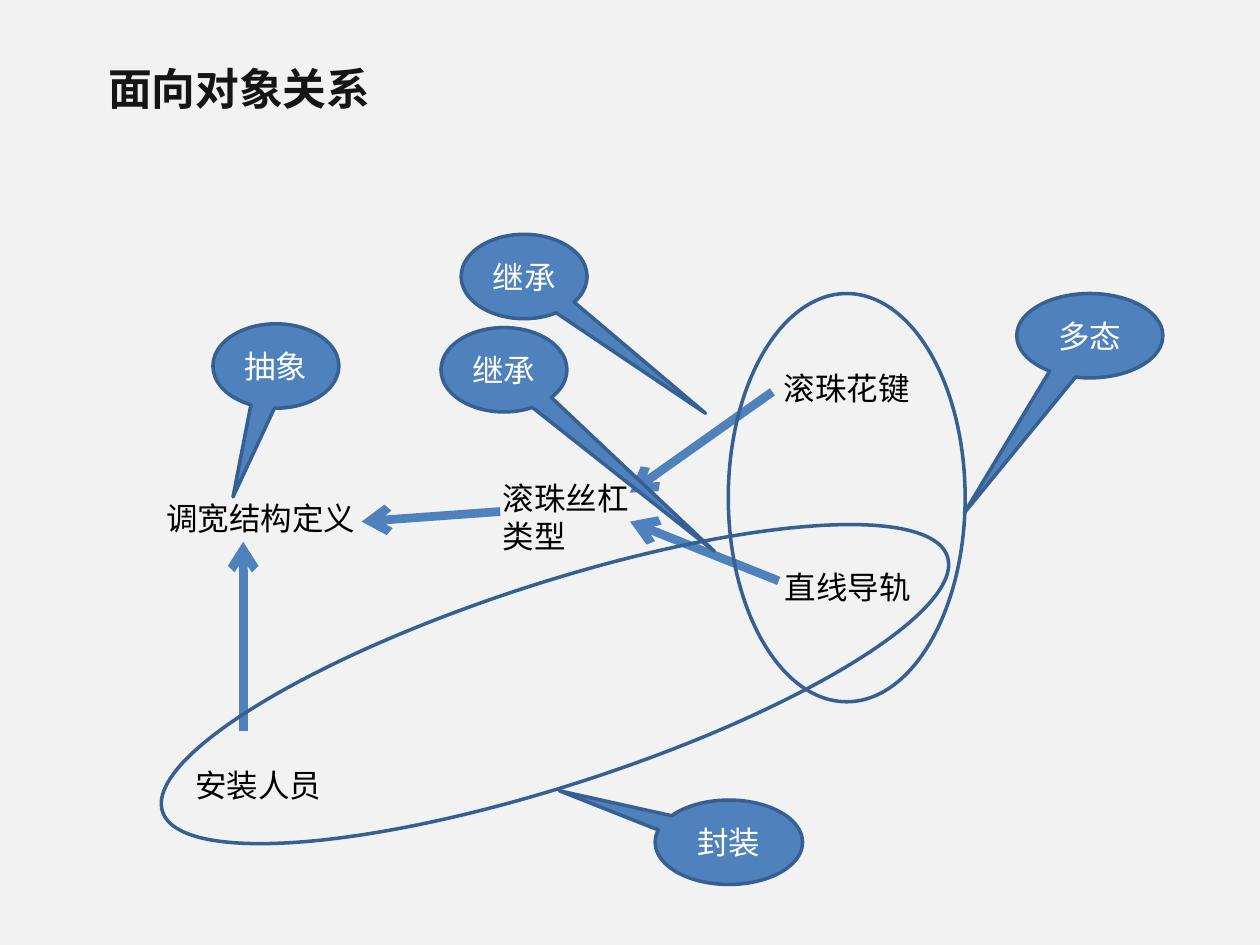
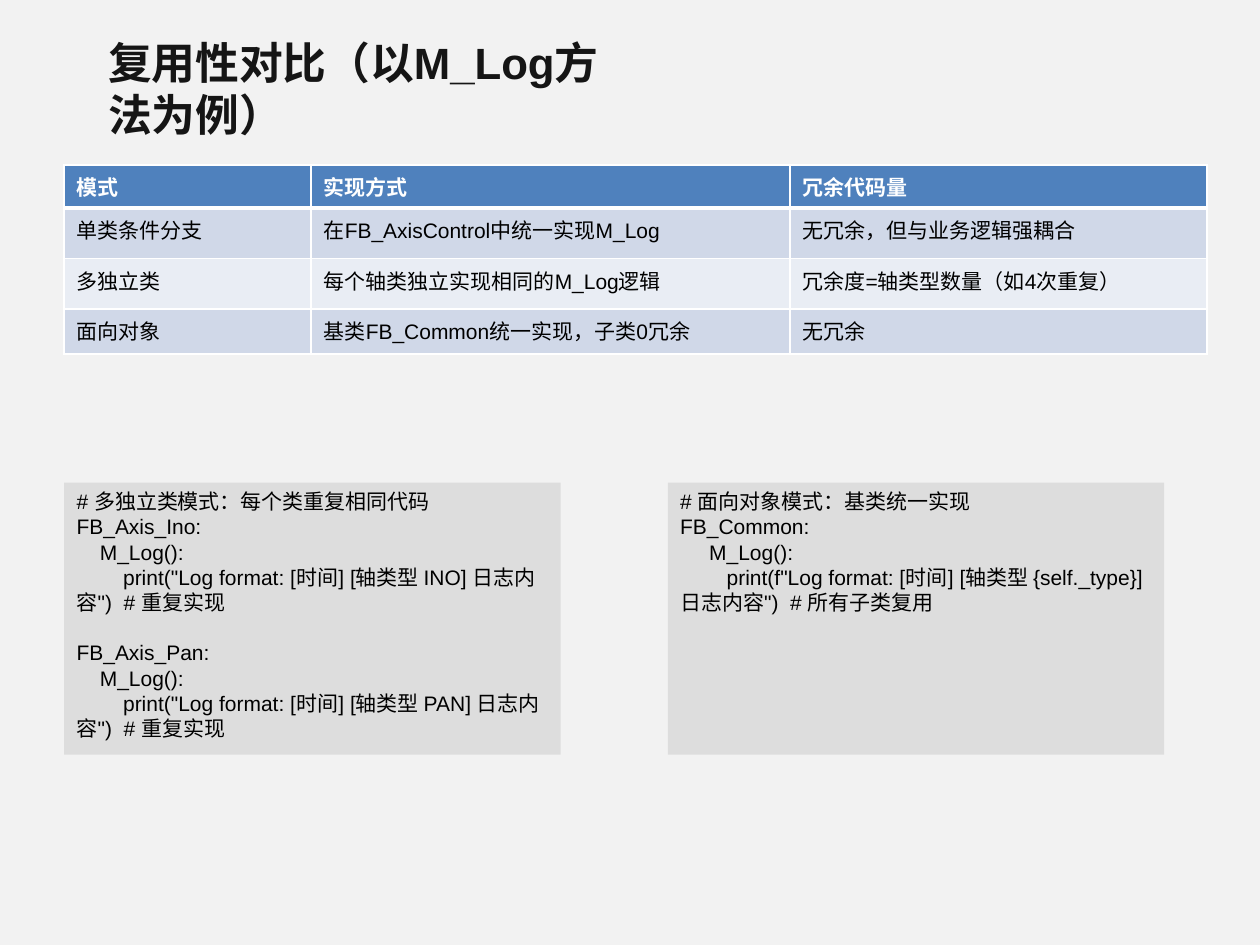
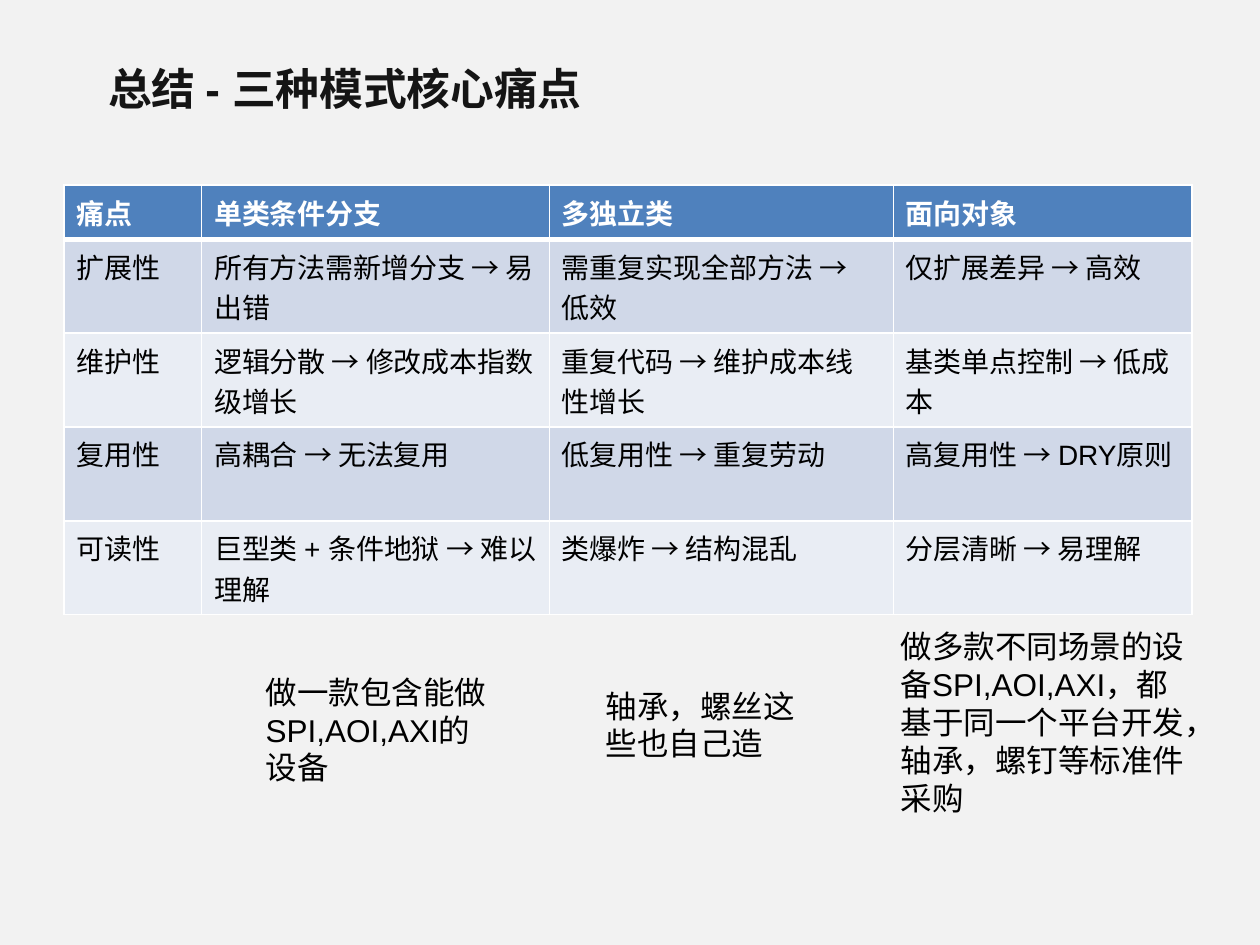
from lxml import etree
from pptx import Presentation
from pptx import util as u
from pptx.dml.color import RGBColor
from pptx.enum import shapes, text
from pptx.oxml import ns

COLUMNS, ROWS = 100, 75
BLUE, DARK_BLUE, WHITE, BLACK = "4F81BD", "376092", "FFFFFF", "000000"
PAPER, TITLE_INK, CODE_GREY = "F2F2F2", "151515", "DDDDDD"
BANDS = ("D0D8E8", "E9EDF4")
LABEL_SIZE = 18


def color(value):
    return RGBColor.from_string(value)


def element(parent, tag, **attributes):
    return etree.SubElement(parent, ns.qn(tag), attributes)


def write(frame, content, size=LABEL_SIZE, ink=BLACK, bold=False, font="Arial",
          align=text.PP_ALIGN.LEFT, anchor=text.MSO_ANCHOR.TOP, leading=1.2):
    """Put each line of content in a paragraph; a blank line becomes space before."""
    frame.word_wrap = True
    frame.vertical_anchor = anchor
    line_height = u.Pt(size * leading)
    gap = 0
    paragraph = None
    for line in content.split("\n"):
        if not line:
            gap += line_height
            continue
        paragraph = frame.add_paragraph() if paragraph else frame.paragraphs[0]
        paragraph.alignment = align
        paragraph.line_spacing = line_height
        paragraph.space_before = gap
        run = paragraph.add_run()
        run.text = line
        run.font.size, run.font.bold, run.font.name = u.Pt(size), bold, font
        run.font.color.rgb = color(ink)
        gap = 0


class Deck:
    """Holds the presentation and the slide being built, on a 100 by 75 grid."""

    def __init__(self):
        self.show = Presentation()
        self.show.slide_width, self.show.slide_height = u.Inches(10), u.Inches(7.5)
        self.slide = None

    def x(self, columns):
        return round(self.show.slide_width * columns / COLUMNS)

    def y(self, rows):
        return round(self.show.slide_height * rows / ROWS)

    def box(self, left, top, width, height):
        return self.x(left), self.y(top), self.x(width), self.y(height)

    def new_slide(self, title):
        self.slide = self.show.slides.add_slide(self.show.slide_layouts[6])
        fill = self.slide.background.fill
        fill.solid()
        fill.fore_color.rgb = color(PAPER)
        self.label(title, 7.6, 3.7, 40.9, 6.6, size=25, ink=TITLE_INK, bold=True,
                   anchor=text.MSO_ANCHOR.MIDDLE)

    def label(self, content, left, top, width, height, **style):
        area = self.slide.shapes.add_textbox(*self.box(left, top, width, height))
        write(area.text_frame, content, **style)

    def shape(self, kind, place, fill=None, outline=None):
        figure = self.slide.shapes.add_shape(kind, *self.box(*place))
        figure.shadow.inherit = False
        if fill:
            figure.fill.solid()
            figure.fill.fore_color.rgb = color(fill)
        else:
            figure.fill.background()
        if outline:
            figure.line.color.rgb = color(outline)
            figure.line.width = u.Pt(2)
        else:
            figure.line.fill.background()
        return figure

    def ring(self, *place, rotation=0):
        self.shape(shapes.MSO_SHAPE.OVAL, place, outline=DARK_BLUE).rotation = rotation

    def callout(self, content, left, top, width, pointer):
        bubble = self.shape(shapes.MSO_SHAPE.OVAL_CALLOUT, (left, top, width, 6.7),
                            BLUE, DARK_BLUE)
        for index, share in enumerate(pointer):
            bubble.adjustments[index] = share
        write(bubble.text_frame, content, ink=WHITE, font="DejaVu Sans",
              align=text.PP_ALIGN.CENTER, anchor=text.MSO_ANCHOR.MIDDLE)

    def code(self, content, left):
        panel = self.shape(shapes.MSO_SHAPE.RECTANGLE, (left, 38.3, 39.4, 21.6), CODE_GREY)
        write(panel.text_frame, content, size=12)

    def arrow(self, start, end):
        link = self.slide.shapes.add_connector(
            shapes.MSO_CONNECTOR.STRAIGHT, self.x(start[0]), self.y(start[1]),
            self.x(end[0]), self.y(end[1]))
        link.line.color.rgb = color(BLUE)
        link.line.width = u.Pt(5)
        element(link.line._get_or_add_ln(), "a:tailEnd", type="arrow")
        element(link._element.spPr, "a:effectLst")

    def table(self, records, top, widths, heights, size):
        grid = self.slide.shapes.add_table(
            len(heights), len(widths),
            *self.box(5.1, top, sum(widths), sum(heights))).table
        for column, width in zip(grid.columns, widths):
            column.width = self.x(width)
        for row, height in zip(grid.rows, heights):
            row.height = self.y(height)
        for r, record in enumerate(records):
            header = r == 0
            for c, content in enumerate(record):
                cell = grid.cell(r, c)
                cell.fill.solid()
                cell.fill.fore_color.rgb = color(BLUE if header else BANDS[(r - 1) % 2])
                write(cell.text_frame, content, size=size, bold=header,
                      ink=WHITE if header else BLACK, leading=1.45)
                self.borders(cell, top=3 if r == 1 else 1, bottom=3 if header else 1)

    @staticmethod
    def borders(cell, top, bottom):
        properties = cell._tc.get_or_add_tcPr()
        sides = (("L", 1), ("R", 1), ("T", top), ("B", bottom))
        for index, (side, points) in enumerate(sides):
            edge = element(properties, f"a:ln{side}", w=str(u.Pt(points)))
            element(element(edge, "a:solidFill"), "a:srgbClr", val=WHITE)
            properties.insert(index, edge)


def relations(deck):
    deck.new_slide("面向对象关系")
    for concept in (("调宽结构定义", 12.2, 39.1, 18.2, 4),
                    ("滚珠丝杠\n类型", 38.9, 37.5, 13.8, 7.1),
                    ("滚珠花键", 61.2, 28.8, 12.5, 4),
                    ("直线导轨", 61.3, 44.6, 12.4, 4)):
        deck.label(*concept)
    for start, end in (((61.3, 31.1), (50, 39.1)), ((61.8, 46.1), (50, 41.4)),
                       ((39.7, 40.6), (28.7, 41.4))):
        deck.arrow(start, end)
    deck.callout("抽象", 16.9, 25.7, 10, (-0.34, 1.55))
    deck.callout("继承", 36.6, 18.6, 10, (1.44, 1.62))
    deck.callout("继承", 35, 26, 10, (1.67, 2.15))
    deck.ring(57.8, 23.3, 18.8, 32.4)
    deck.callout("多态", 80.7, 23.3, 11.6, (-0.86, 2.1))
    deck.arrow((19.3, 58), (19.3, 43))
    deck.label("安装人员", 14.5, 60.3, 12.1, 4)
    deck.ring(11.3, 46.3, 65.5, 16, rotation=342)
    deck.callout("封装", 52, 63.5, 11.7, (-1.15, -0.61))


def reuse(deck):
    deck.new_slide("复用性对比（以M_Log方法为例）")
    deck.table((
        ("模式", "实现方式", "冗余代码量"),
        ("单类条件分支", "在FB_AxisControl中统一实现M_Log", "无冗余，但与业务逻辑强耦合"),
        ("多独立类", "每个轴类独立实现相同的M_Log逻辑", "冗余度=轴类型数量（如4次重复）"),
        ("面向对象", "基类FB_Common统一实现，子类0冗余", "无冗余"),
    ), top=13.1, widths=(19.6, 38, 33.1), heights=(3.4, 4, 4, 3.6), size=12)
    axis_classes = "\n\n".join(
        f'FB_Axis_{name}:\n    M_Log():\n'
        f'        print("Log format: [时间] [轴类型 {name.upper()}] 日志内容")  # 重复实现'
        for name in ("Ino", "Pan"))
    deck.code("# 多独立类模式：每个类重复相同代码\n" + axis_classes, 5.1)
    deck.code("# 面向对象模式：基类统一实现\nFB_Common:\n     M_Log():\n"
              '        print(f"Log format: [时间] [轴类型 {self._type}] 日志内容")  # 所有子类复用',
              53)


def summary(deck):
    deck.new_slide("总结 - 三种模式核心痛点")
    deck.table((
        ("痛点", "单类条件分支", "多独立类", "面向对象"),
        ("扩展性", "所有方法需新增分支 → 易出错", "需重复实现全部方法 → 低效", "仅扩展差异 → 高效"),
        ("维护性", "逻辑分散 → 修改成本指数级增长", "重复代码 → 维护成本线性增长", "基类单点控制 → 低成本"),
        ("复用性", "高耦合 → 无法复用", "低复用性 → 重复劳动", "高复用性 → DRY原则"),
        ("可读性", "巨型类 + 条件地狱 → 难以理解", "类爆炸 → 结构混乱", "分层清晰 → 易理解"),
    ), top=14.7, widths=(10.9, 27.6, 27.3, 23.7), heights=(4.3,) + (7.4,) * 4, size=16)
    deck.label("做一款包含能做SPI,AOI,AXI的设备", 20.1, 52.9, 20.1, 9.6)
    deck.label("轴承，螺丝这些也自己造", 47.1, 54, 17.9, 7.4)
    deck.label("做多款不同场景的设备SPI,AOI,AXI，都基于同一个平台开发，轴承，螺钉等标准件采购",
               70.5, 49.3, 25.4, 15.3)


def main():
    deck = Deck()
    for build in (relations, reuse, summary):
        build(deck)
    deck.show.save("out.pptx")


if __name__ == "__main__":
    main()
